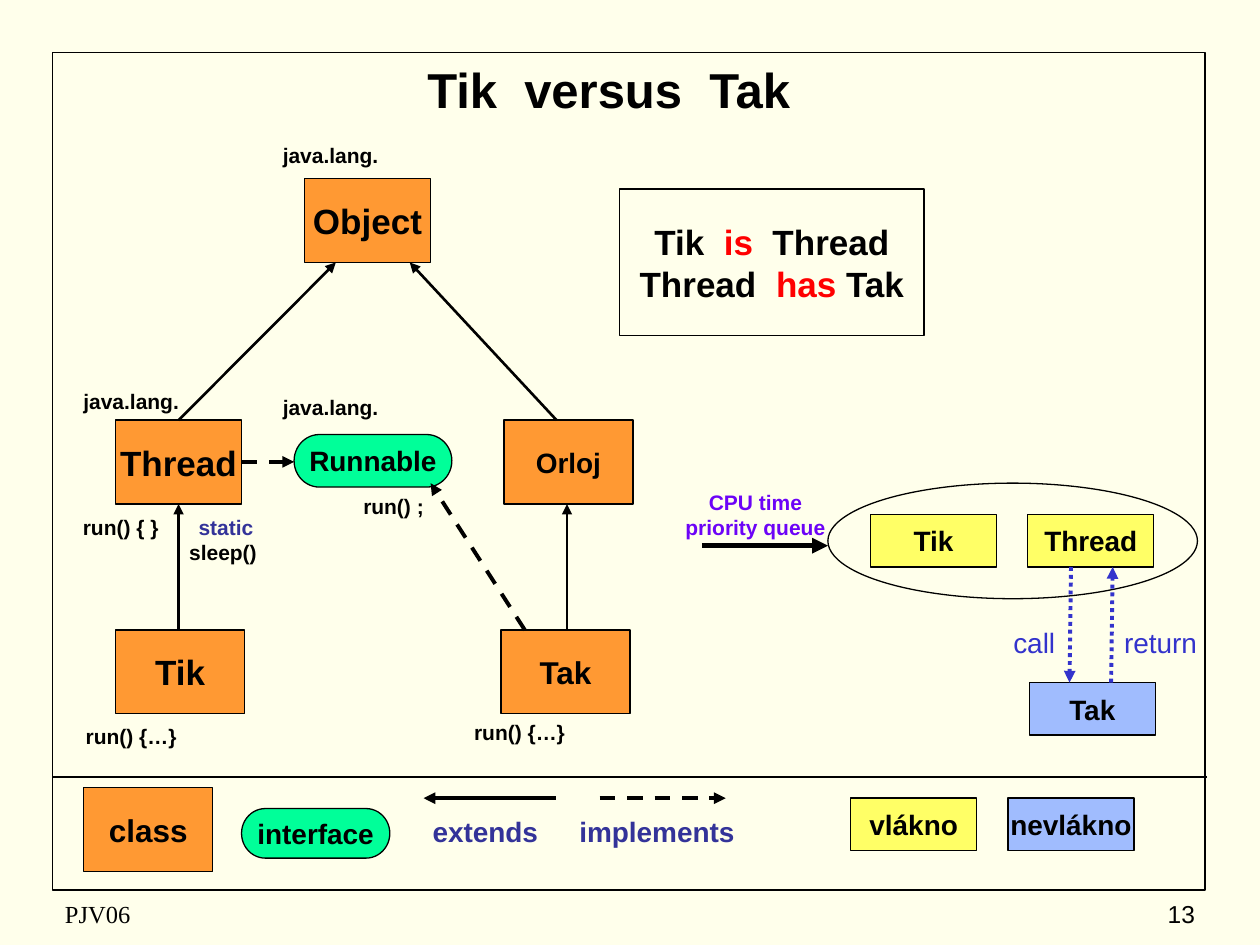
from dataclasses import dataclass
from typing import Optional

import lxml.etree
import pptx
import pptx.dml.color
import pptx.enum.dml
import pptx.enum.shapes
import pptx.enum.text
import pptx.oxml.ns
import pptx.util

Cm = pptx.util.Cm
Pt = pptx.util.Pt
SHAPE = pptx.enum.shapes.MSO_SHAPE
DASH = pptx.enum.dml.MSO_LINE.DASH
DOT = pptx.enum.dml.MSO_LINE.ROUND_DOT
ALIGN = pptx.enum.text.PP_ALIGN
ANCHOR = pptx.enum.text.MSO_ANCHOR

COLORS = {
    "paper": "FFFFEB", "ink": "000000", "class": "FF9933", "interface": "00FF99",
    "thread": "FFFF66", "plain": "A0BCFE", "keyword": "333399", "call": "3333CC",
    "queue": "6C03F7", "stress": "FF0000",
}


@dataclass
class Style:
    """Look shared by all boxes of one kind."""
    shape: int
    fill: Optional[str]
    width: float
    height: float


@dataclass
class Box:
    style: Style
    left: float
    top: float
    text: str = ""
    size: float = 16
    width: Optional[float] = None


@dataclass
class Label:
    text: str
    left: float
    top: float
    width: float
    height: float = 0.76
    size: float = 12
    color: str = "ink"
    bold: bool = True
    align: int = ALIGN.CENTER
    anchor: int = ANCHOR.TOP
    font: str = "Arial"


@dataclass
class Arrow:
    start: tuple[float, float]
    end: tuple[float, float]
    weight: float = 1.5
    dash: Optional[int] = None
    color: str = "ink"
    head: bool = True


def rgb(name: str) -> pptx.dml.color.RGBColor:
    return pptx.dml.color.RGBColor.from_string(COLORS[name])


def format_run(run, size: float, color: str = "ink", bold: bool = True, font: str = "Arial") -> None:
    run.font.name, run.font.size, run.font.bold = font, Pt(size), bold
    run.font.color.rgb = rgb(color)


def draw_box(page, box: Box):
    style = box.style
    shape = page.shapes.add_shape(style.shape, Cm(box.left), Cm(box.top),
                                  Cm(box.width or style.width), Cm(style.height))
    shape.shadow.inherit = False
    if style.fill:
        shape.fill.solid()
        shape.fill.fore_color.rgb = rgb(style.fill)
    else:
        shape.fill.background()
    shape.line.color.rgb = rgb("ink")
    shape.line.width = Pt(0.75)
    frame = shape.text_frame
    frame.word_wrap = False
    frame.vertical_anchor = ANCHOR.MIDDLE
    if box.text:
        frame.text = box.text
        frame.paragraphs[0].alignment = ALIGN.CENTER
        format_run(frame.paragraphs[0].runs[0], box.size)
    return shape


def draw_label(page, label: Label):
    shape = page.shapes.add_textbox(Cm(label.left), Cm(label.top), Cm(label.width), Cm(label.height))
    frame = shape.text_frame
    frame.word_wrap = True
    frame.vertical_anchor = label.anchor
    frame.text = label.text
    para = frame.paragraphs[0]
    para.alignment = label.align
    format_run(para.runs[0], label.size, label.color, label.bold, label.font)
    return shape


def draw_arrow(page, arrow: Arrow) -> None:
    line = page.shapes.add_connector(pptx.enum.shapes.MSO_CONNECTOR.STRAIGHT,
                                     *map(Cm, arrow.start + arrow.end))
    line.line.color.rgb = rgb(arrow.color)
    line.line.width = Pt(arrow.weight)
    if arrow.dash:
        line.line.dash_style = arrow.dash
    if arrow.head:
        lxml.etree.SubElement(line.line._get_or_add_ln(), pptx.oxml.ns.qn("a:tailEnd"), type="triangle")
    lxml.etree.SubElement(line._element.spPr, pptx.oxml.ns.qn("a:effectLst"))


def add_spans(para, size: float, spans: list[tuple[str, str]]) -> None:
    para.alignment = ALIGN.CENTER
    for text, color in spans:
        run = para.add_run()
        run.text = text
        format_run(run, size, color)


FRAME = Style(SHAPE.RECTANGLE, None, 23.24, 16.89)
CLASS = Style(SHAPE.FLOWCHART_PROCESS, "class", 2.6, 1.69)
INTERFACE = Style(SHAPE.FLOWCHART_TERMINATOR, "interface", 3.18, 1.06)
LEGEND_INTERFACE = Style(SHAPE.FLOWCHART_TERMINATOR, "interface", 2.99, 1)
QUEUE = Style(SHAPE.OVAL, "paper", 7.45, 2.33)
THREAD = Style(SHAPE.RECTANGLE, "thread", 2.54, 1.06)
PLAIN = Style(SHAPE.RECTANGLE, "plain", 2.54, 1.06)
STATEMENT = Style(SHAPE.FLOWCHART_PROCESS, None, 6.14, 2.96)

BOXES = [
    # Class hierarchy
    Box(CLASS, 6.14, 3.6, "Object", 20, 2.54),
    Box(CLASS, 2.33, 8.47, "Thread", 20, 2.54),
    Box(CLASS, 10.16, 8.47, "Orloj"),
    Box(CLASS, 2.33, 12.7, "Tik", 20),
    Box(CLASS, 10.1, 12.7, "Tak", 18),
    Box(INTERFACE, 5.93, 8.76, "Runnable"),
    # Priority queue
    Box(QUEUE, 16.69, 9.74),
    Box(THREAD, 17.55, 10.37, "Tik"),
    Box(THREAD, 20.72, 10.37, "Thread"),
    Box(PLAIN, 20.75, 13.76, "Tak"),
    # Legend
    Box(CLASS, 1.69, 15.88, "class", 18),
    Box(LEGEND_INTERFACE, 4.87, 16.3, "interface"),
    Box(THREAD, 17.15, 16.09, "vlákno"),
    Box(PLAIN, 20.32, 16.09, "nevlákno"),
]

ARROWS = [
    Arrow((1.06, 15.66), (24.34, 15.66), 1, head=False),
    # Extends
    Arrow((11.22, 8.47), (8.26, 5.29)),
    Arrow((3.6, 8.47), (6.77, 5.29)),
    Arrow((11.43, 12.7), (11.43, 10.16)),
    Arrow((3.6, 12.7), (3.6, 10.16)),
    # Implements
    Arrow((4.87, 9.31), (5.93, 9.31), 2.25, DASH),
    Arrow((10.58, 12.7), (8.68, 9.74), 2.25, DASH),
    # Queue, call and return
    Arrow((14.15, 11), (16.69, 11), 3),
    Arrow((21.59, 11.43), (21.56, 13.76), 2.25, DOT, "call"),
    Arrow((22.4, 13.76), (22.43, 11.43), 2.25, DOT, "call"),
    # Legend
    Arrow((11.2, 16.09), (8.54, 16.09), 2.25),
    Arrow((12.09, 16.09), (14.63, 16.09), 2.25, DASH),
]

LABELS = [
    Label("Tik  versus  Tak", 6.98, 0.85, 10.58, 1.9, 28, anchor=ANCHOR.MIDDLE),
    *[Label("java.lang.", left, top, 2.75) for left, top in ((5.29, 2.75), (1.27, 7.7), (5.29, 7.83))],
    *[Label("run() {…}", left, top, 2.75) for left, top in ((1.27, 14.47), (9.1, 14.39))],
    Label("run() ;", 6.77, 9.82, 2.33),
    Label("run() { }", 1.27, 10.24, 2.33),
    Label("CPU time priority queue", 13.55, 9.74, 3.36, 1.27, color="queue"),
    Label("call", 19.9, 12.49, 1.9, 0.93, 16, "call", False),
    Label("return", 22.23, 12.49, 2.33, 0.93, 16, "call", False),
    Label("extends", 8.47, 16.3, 2.92, 0.93, 16, "keyword", align=ALIGN.LEFT),
    Label("implements", 11.43, 16.3, 4.04, 0.93, 16, "keyword", align=ALIGN.LEFT),
    # Footer
    Label("PJV06", 1.06, 17.99, 8.04, 0.85, 14, "ink", False, ALIGN.LEFT, ANCHOR.MIDDLE, "Times New Roman"),
    Label("13", 19.05, 17.99, 5.29, 0.85, 14, "ink", False, ALIGN.RIGHT, ANCHOR.MIDDLE),
]


def main() -> None:
    deck = pptx.Presentation()
    deck.slide_width, deck.slide_height = Cm(25.4), Cm(19.05)
    page = deck.slides.add_slide(deck.slide_layouts[6])
    page.background.fill.solid()
    page.background.fill.fore_color.rgb = rgb("paper")

    draw_box(page, Box(FRAME, 1.06, 1.06)).line.width = Pt(1)
    for box in BOXES:
        draw_box(page, box)
    for arrow in ARROWS:
        draw_arrow(page, arrow)
    for label in LABELS:
        draw_label(page, label)

    # Two-coloured texts
    sleep = draw_label(page, Label("static ", 3.18, 10.24, 2.75, 1.27, color="keyword"))
    add_spans(sleep.text_frame.paragraphs[0], 12, [("sleep() ", "ink")])
    frame = draw_box(page, Box(STATEMENT, 12.49, 3.81)).text_frame
    add_spans(frame.paragraphs[0], 20, [("Tik  ", "ink"), ("is ", "stress"), (" Thread", "ink")])
    add_spans(frame.add_paragraph(), 20, [("Thread  ", "ink"), ("has", "stress"), (" Tak", "ink")])

    deck.save("out.pptx")


if __name__ == "__main__":
    main()
